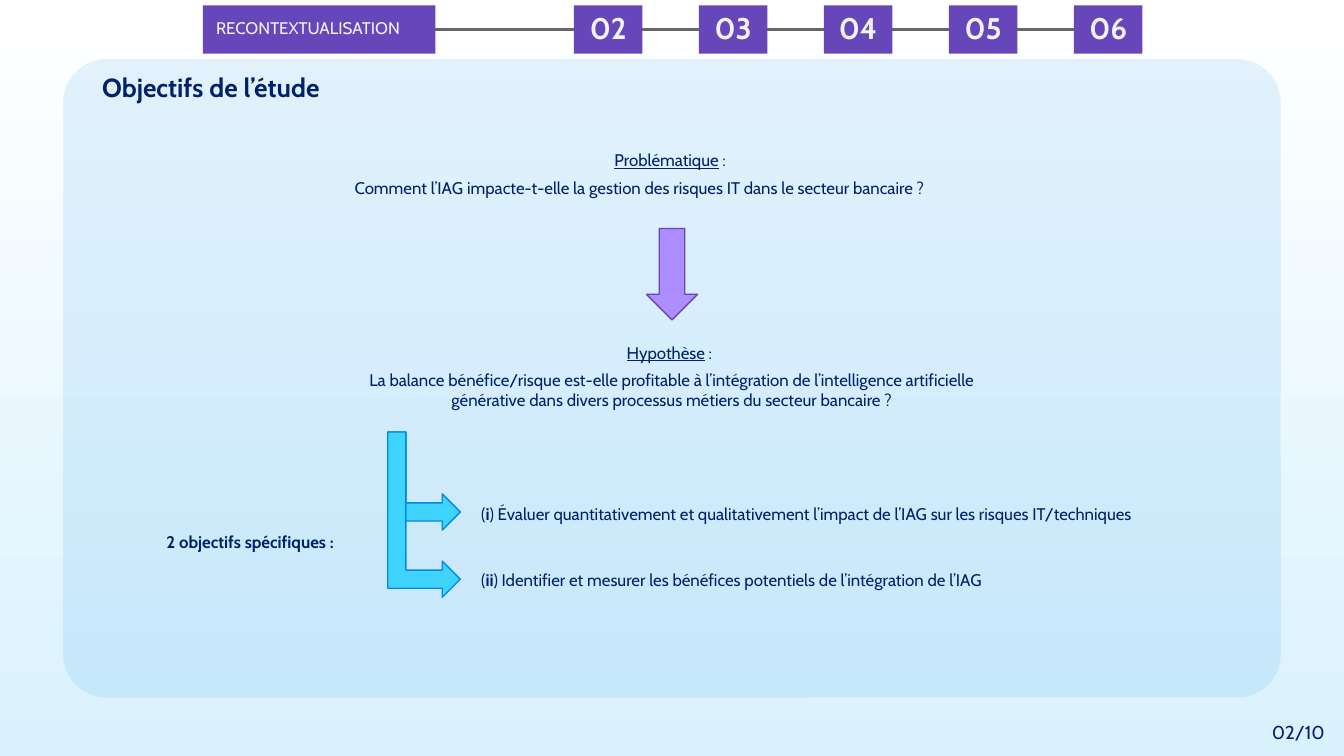
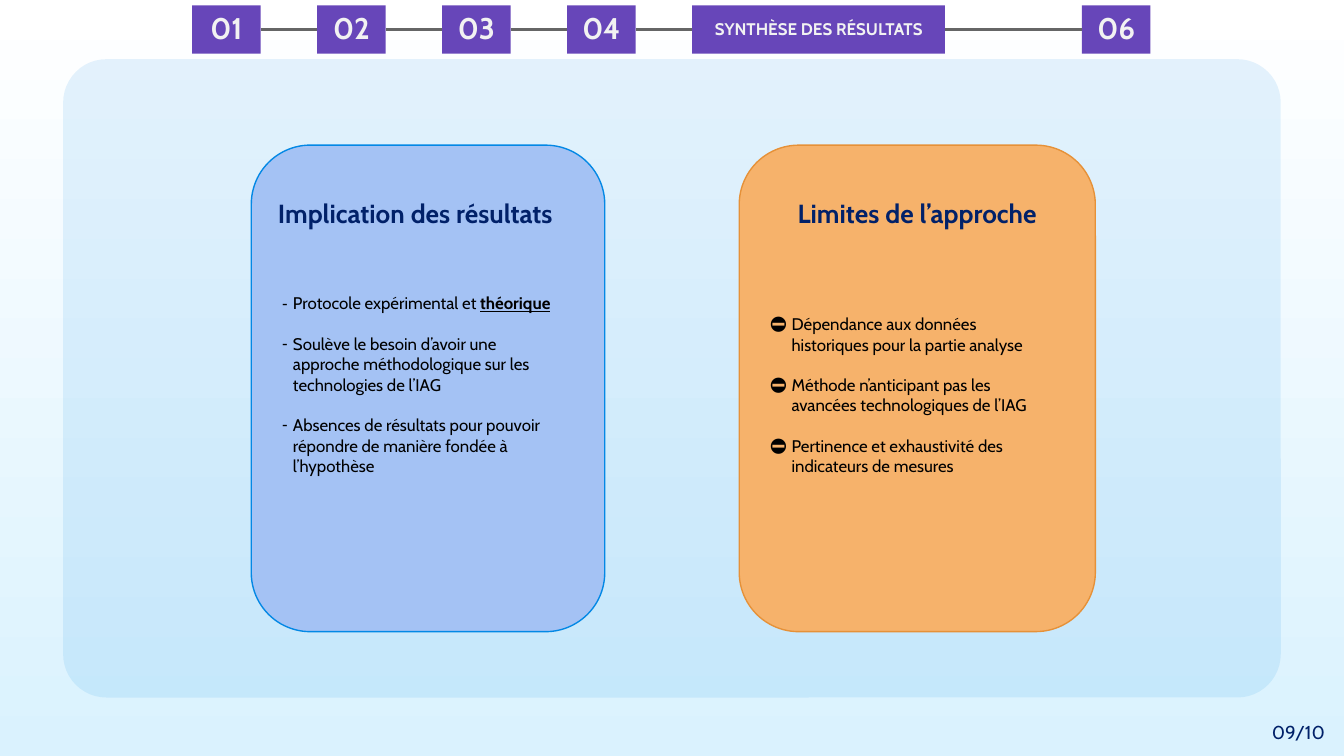
import dataclasses
import typing

import pptx
import pptx.dml.color
import pptx.enum.dml
import pptx.enum.shapes
import pptx.enum.text
import pptx.oxml
import pptx.oxml.ns
import pptx.util

Inches = pptx.util.Inches
Pt = pptx.util.Pt
SHAPE = pptx.enum.shapes.MSO_SHAPE
ALIGN = pptx.enum.text.PP_ALIGN

FONT = "Cabin"
NAVY, BLACK, PALE = "012169", "000000", "F2F2F2"
PURPLE, LILAC, GREY = "6746B9", "AD8DFF", "666666"
BLUE, CYAN, SKY = "0388E5", "3ED4FD", "A4C2F4"
PEACH, ORANGE = "F6B26B", "E69138"

TAB_TOP, TAB_WIDE, TAB_HIGH, TAB_STEP = 0.04, 0.51, 0.36, 0.93
RAIL = 0.22


@dataclasses.dataclass
class Box:
    left: float
    top: float
    width: float
    height: float


@dataclasses.dataclass
class Run:
    text: str
    bold: bool = False
    underline: bool = False


@dataclasses.dataclass
class Style:
    size: float = 9
    color: str = NAVY
    align: typing.Any = ALIGN.LEFT
    inset: float = 0.1
    gap: float = 0
    spacing: float = 1.0
    bullet: str = ""
    indent: float = 0


@dataclasses.dataclass
class Tab:
    label: str
    left: float
    width: float = TAB_WIDE
    size: float = 16
    bold: bool = True
    align: typing.Any = ALIGN.CENTER
    title: bool = False


@dataclasses.dataclass
class Card:
    box: Box
    fill: str
    line: str
    head: str
    align: typing.Any
    list_box: Box
    bullet: str
    indent: float
    items: list


def tint(code: str) -> pptx.dml.color.RGBColor:
    return pptx.dml.color.RGBColor.from_string(code)


def apply(target, values: dict) -> None:
    for name, value in values.items():
        setattr(target, name, value)


def place(shape, box: Box) -> None:
    apply(shape, {k: Inches(v) for k, v in dataclasses.asdict(box).items()})


def add_xml(parent, tag: str, **values: str):
    node = pptx.oxml.parse_xml(f"<a:{tag} {pptx.oxml.ns.nsdecls('a')}/>")
    for name, value in values.items():
        node.set(name, value)
    parent.append(node)
    return node


def write(shape, paras: list, style: Style) -> None:
    frame = shape.text_frame
    inset = Inches(style.inset)
    apply(frame, {
        "word_wrap": True,
        "auto_size": pptx.enum.text.MSO_AUTO_SIZE.NONE,
        "vertical_anchor": pptx.enum.text.MSO_ANCHOR.MIDDLE,
        "margin_left": inset, "margin_right": inset,
        "margin_top": inset, "margin_bottom": inset,
    })
    for i, runs in enumerate(paras):
        para = frame.add_paragraph() if i else frame.paragraphs[0]
        apply(para, {
            "alignment": style.align,
            "line_spacing": style.spacing,
            "space_before": Pt(style.gap if i else 0),
        })
        props = para._p.get_or_add_pPr()
        props.set("marL", str(Inches(style.indent)))
        props.set("indent", str(-Inches(style.indent)))
        if style.bullet:
            add_xml(props, "buChar", char=style.bullet)
        else:
            add_xml(props, "buNone")
        for item in runs:
            run = para.add_run()
            run.text = item.text
            apply(run.font, {
                "name": FONT, "size": Pt(style.size),
                "bold": item.bold, "underline": item.underline,
            })
            run.font.color.rgb = tint(style.color)


def paint(shape, fill: str, line: str = "") -> None:
    shape.fill.solid()
    shape.fill.fore_color.rgb = tint(fill)
    if line:
        shape.line.color.rgb = tint(line)
        shape.line.width = Pt(0.75)
    else:
        shape.line.fill.background()


def draw(slide, kind, box: Box, fill: str, line: str = "", turn: float = 0,
         adjust: typing.Optional[float] = None):
    shape = slide.shapes.add_shape(kind, 0, 0, 0, 0)
    place(shape, box)
    shape.shadow.inherit = False
    shape.rotation = turn
    if adjust is not None:
        shape.adjustments[0] = adjust
    paint(shape, fill, line)
    return shape


def add_text(slide, box: Box, paras: list, style: Style) -> None:
    shape = slide.shapes.add_textbox(0, 0, 0, 0)
    place(shape, box)
    write(shape, paras, style)


def fill_slot(slide, shape, box: Box, paras: list, style: Style) -> None:
    slide.shapes._spTree.append(shape._element)
    place(shape, box)
    write(shape, paras, style)


def number_tabs(first: int, last: int, left: float) -> list:
    return [Tab(f"{n:02}", left + TAB_STEP * (n - first))
            for n in range(first, last + 1)]


def draw_tabs(slide, tabs: list) -> None:
    for tab in tabs:
        box = Box(tab.left, TAB_TOP, tab.width, TAB_HIGH)
        if tab.title:
            shape = slide.shapes.title
            place(shape, box)
            paint(shape, PURPLE)
        else:
            shape = draw(slide, SHAPE.RECTANGLE, box, PURPLE)
        write(shape, [[Run(tab.label, tab.bold)]],
              Style(tab.size, PALE, tab.align, spacing=0.9))
    for prev, then in zip(tabs, tabs[1:]):
        line = slide.shapes.add_connector(
            pptx.enum.shapes.MSO_CONNECTOR.STRAIGHT,
            Inches(prev.left + prev.width), Inches(RAIL),
            Inches(then.left), Inches(RAIL))
        line.line.color.rgb = tint(GREY)
        line.line.width = Pt(1.5)
        add_xml(line._element.spPr, "effectLst")


def draw_page(slide, label: str) -> None:
    add_text(slide, Box(9.32, 5.27, 0.68, 0.35), [[Run(label)]],
             Style(10, align=ALIGN.CENTER))


def dress_master(deck, slide) -> None:
    master = deck.slide_master
    fill = master.background.fill
    fill.gradient()
    fill.gradient_angle = 270
    for stop, code in zip(fill.gradient_stops, ("FFFFFF", "DAF2FE")):
        stop.color.rgb = tint(code)
    panel = draw(slide, SHAPE.ROUNDED_RECTANGLE, Box(0.47, 0.44, 9.06, 4.75),
                 BLUE, adjust=0.068)
    color = panel._element.spPr.find(".//" + pptx.oxml.ns.qn("a:srgbClr"))
    add_xml(color, "alpha", val="10000")
    master.shapes._spTree.insert(2, panel._element)


def build_goals(slide) -> None:
    fill_slot(slide, slide.shapes.title, Box(0.66, 0.49, 3.66, 0.31),
              [[Run("Objectifs de l’étude", True)]], Style(14))
    mid = Style(align=ALIGN.CENTER, gap=4)
    blocks = [
        (Box(2.54, 1.07, 4.92, 0.45), "Problématique",
         "Comment l’IAG impacte-t-elle la gestion des risques IT dans le secteur bancaire ?"),
        (Box(2.59, 2.53, 4.81, 0.54), "Hypothèse",
         "La balance bénéfice/risque est-elle profitable à l’intégration de l’intelligence "
         "artificielle générative dans divers processus métiers du secteur bancaire ?"),
    ]
    for box, head, text in blocks:
        add_text(slide, box,
                 [[Run(head, underline=True), Run(" : ")], [Run(text)]], mid)
    slide.shapes[-2].text_frame.paragraphs[1].alignment = ALIGN.LEFT
    draw(slide, SHAPE.RIGHT_ARROW, Box(4.66, 1.85, 0.68, 0.38), LILAC, PURPLE, 90)
    for box in (Box(2.79, 3.31, 0.73, 0.54), Box(2.54, 3.56, 1.23, 0.54)):
        draw(slide, SHAPE.BENT_UP_ARROW, box, CYAN, BLUE, 90)
    add_text(slide, Box(1.14, 3.91, 1.6, 0.24),
             [[Run("2 objectifs spécifiques :", True)]], Style())
    goals = [
        ("i", "Évaluer quantitativement et qualitativement l’impact de l’IAG sur les risques IT/techniques"),
        ("ii", "Identifier et mesurer les bénéfices potentiels de l’intégration de l’IAG"),
    ]
    fill_slot(slide, slide.placeholders[1], Box(3.48, 3.74, 5.67, 0.66),
              [[Run("("), Run(mark, True), Run(f") {text}")] for mark, text in goals],
              Style(gap=24.4))
    draw_page(slide, "02/10")
    draw_tabs(slide, [Tab("RECONTEXTUALISATION", 1.51, 1.73, 9, False, ALIGN.LEFT)]
              + number_tabs(2, 6, 4.27))


def build_results(slide) -> None:
    cards = [
        Card(Box(1.87, 1.08, 2.63, 3.62), SKY, BLUE,
             "Implication des résultats", ALIGN.LEFT,
             Box(2.1, 2.06, 2.05, 1.6), "-", 0.08, [
                 [Run("Protocole expérimental et "), Run("théorique", True, True)],
                 [Run("Soulève le besoin d’avoir une approche méthodologique "
                      "sur les technologies de l’IAG")],
                 [Run("Absences de résultats pour pouvoir répondre de manière "
                      "fondée à l’hypothèse")],
             ]),
        Card(Box(5.5, 1.08, 2.65, 3.62), PEACH, ORANGE,
             "Limites de l’approche", ALIGN.CENTER,
             Box(5.73, 2.14, 1.99, 1.6), "⛔", 0.16, [
                 [Run("Dépendance aux données historiques pour la partie analyse")],
                 [Run("Méthode n’anticipant pas les avancées technologiques de l’IAG")],
                 [Run("Pertinence et exhaustivité des indicateurs de mesures")],
             ]),
    ]
    for slot, card in enumerate(cards, 1):
        box = card.box
        draw(slide, SHAPE.ROUNDED_RECTANGLE, box, card.fill, card.line, adjust=0.167)
        add_text(slide, Box(box.left + 0.1, 1.43, box.width - 0.2, 0.31),
                 [[Run(card.head, True)]], Style(14, align=card.align))
        fill_slot(slide, slide.placeholders[slot], card.list_box, card.items,
                  Style(color=BLACK, inset=0, gap=11, bullet=card.bullet,
                        indent=card.indent))
    draw_page(slide, "09/10")
    draw_tabs(slide, number_tabs(1, 4, 1.43)
              + [Tab("SYNTHÈSE DES RÉSULTATS", 5.15, 1.88, 9, title=True)]
              + number_tabs(6, 6, 8.05))


def main() -> None:
    deck = pptx.Presentation()
    wide = Inches(10)
    apply(deck, {"slide_width": wide, "slide_height": wide * 9 // 16})
    goals = deck.slides.add_slide(deck.slide_layouts[1])
    dress_master(deck, goals)
    build_goals(goals)
    build_results(deck.slides.add_slide(deck.slide_layouts[3]))
    deck.save("out.pptx")


if __name__ == "__main__":
    main()
